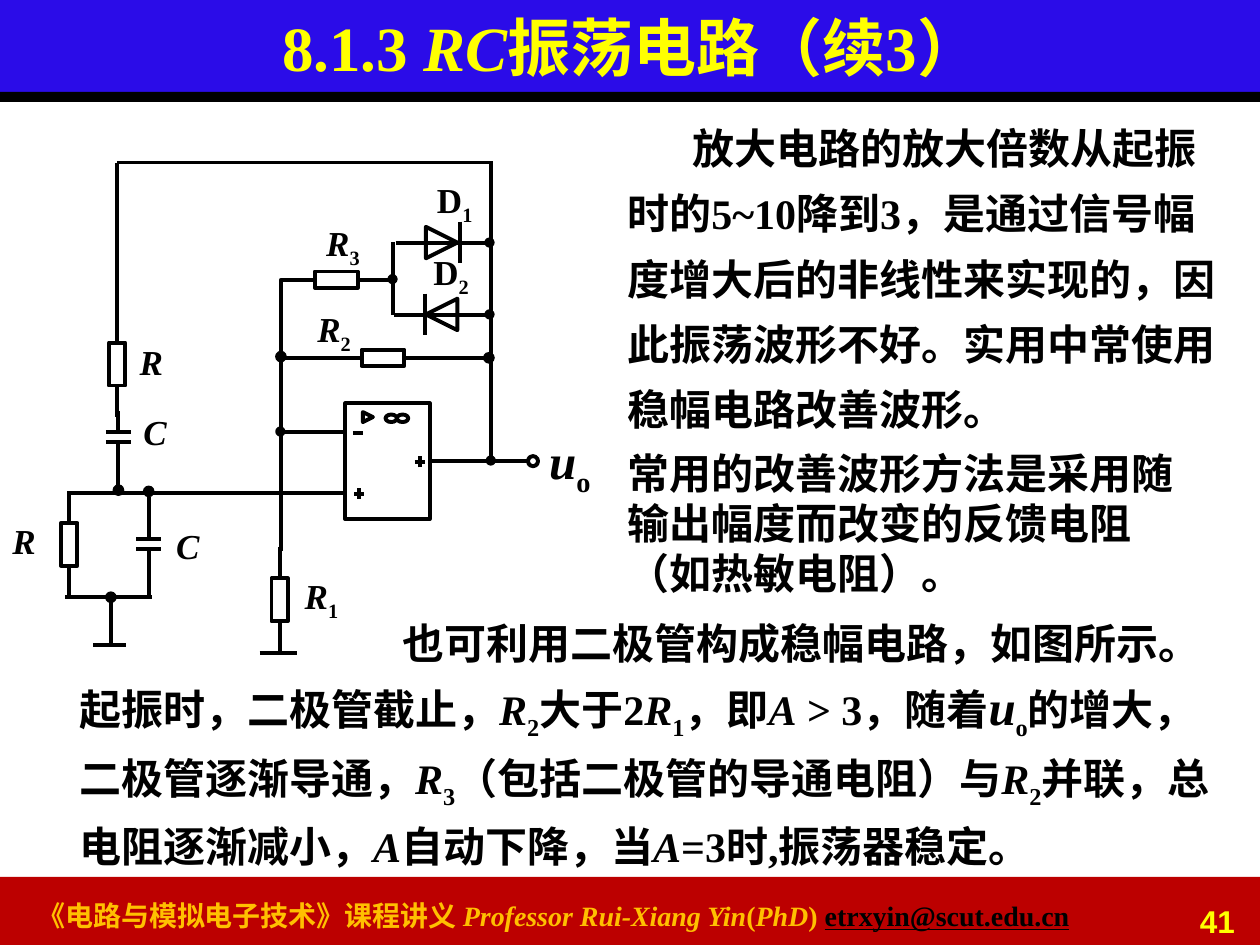
from lxml.etree import SubElement
from pptx import Presentation
from pptx.dml.color import RGBColor
from pptx.enum.shapes import MSO_CONNECTOR, MSO_SHAPE
from pptx.enum.text import MSO_ANCHOR, MSO_AUTO_SIZE, PP_ALIGN
from pptx.oxml.ns import qn
from pptx.util import Inches, Pt


class Theme:
    black, yellow, gold = "000000", "FFFF00", "FFC000"
    blue, red = "2B0CE8", "BC0000"
    serif, sans = "Times New Roman", "Arial"
    title, unknown, body, label, number, footer = 36, 28, 24, 20, 18, 16
    stroke = Pt(2.25)


class Col:
    """Vertical nets of the circuit, in inches."""
    shunt, ground, series, capacitor = 0.55, 0.88, 0.93, 1.18
    feedback, split, output = 2.23, 3.12, 3.9


class Row:
    """Horizontal nets of the circuit, in inches."""
    top, d1, r3, d2, r2 = 1.29, 1.93, 2.22, 2.5, 2.84
    minus, out, plus, bottom, ground = 3.43, 3.66, 3.91, 4.74, 5.12


# Runs are split by "|": * italic, & large italic, _ subscript, # e-mail address
TITLE = "8.1.3 |*RC|振荡电路（续3）"
FOOTER = "《电路与模拟电子技术》课程讲义 |*Professor Rui-Xiang Yin|(|*PhD|) |#etrxyin@scut.edu.cn"
# left, top, width, height, line spacing, first-line indent, text
PARAGRAPHS = [
    (4.88, 0.8, 5.01, 2.7, 1.3, 0.52,
     "放大电路的放大倍数从起振时的5~10降到3，是通过信号幅度增大后的非线性来实现的，"
     "因此振荡波形不好。实用中常使用稳幅电路改善波形。"),
    (0.53, 5.22, 9.2, 1.62, 1.2, 0,
     "起振时，二极管截止，|*R|_2|大于2|*R|_1|，即|*A| > 3，随着|&u|_o|的增大，二极管逐渐导通，"
     "|*R|_3|（包括二极管的导通电阻）与|*R|_2|并联，总电阻逐渐减小，|*A|自动下降，当|*A|=3时,振荡器稳定。"),
    (4.88, 3.5, 4.84, 1.3, 1, 0, "常用的改善波形方法是采用随输出幅度而改变的反馈电阻（如热敏电阻）。"),
    (3.1, 4.85, 6.6, 0.5, 1, 0, "也可利用二极管构成稳幅电路，如图所示。"),
]
LABELS = [  # left, top, width, text
    (1.01, 2.65, 0.47, "*R"), (1.04, 3.21, 0.47, "*C"), (0, 4.07, 0.47, "*R"),
    (1.3, 4.11, 0.47, "*C"), (2.32, 4.51, 0.72, "*R|_1"), (2.42, 2.39, 0.53, "*R|_2"),
    (3.37, 1.37, 0.5, "D|_1"), (2.49, 1.71, 0.72, "*R|_3"), (3.34, 1.94, 0.52, "D|_2"),
]
RESISTORS = [  # centre x, centre y, upright
    (Col.series, 2.89, True), (Col.shunt, 4.32, True), (2.22, 4.76, True),
    (3.04, Row.r2, False), (2.67, Row.r3, False),
]
CAPACITORS = [(0.94, 3.47), (Col.capacitor, 4.32)]
DIODES = [(Row.d1, 90, 3.65), (Row.d2, 270, 3.37)]  # centre y, rotation, bar x
DOTS = [(Col.output, Row.out), (Col.feedback, Row.minus), (Col.split, Row.r3),
        (3.89, Row.d1), (3.89, Row.d2)]
WIRES = [
    (Col.series, Row.top, 3.91, Row.top), (Col.series, Row.top, Col.series, 2.65),
    (Col.output, Row.top, Col.output, 3.63), (Col.feedback, Row.minus, 2.75, Row.minus),
    (Col.shunt, Row.plus, 2.75, Row.plus), (0.52, Row.bottom, 1.21, Row.bottom),
    (Col.capacitor, 4.47, Col.capacitor, 4.75), (0.74, Row.ground, 1, Row.ground),
    (2.06, 5.18, 2.36, 5.18), (Col.split, 1.92, Col.split, Row.d2),
    (3.14, Row.d1, 3.89, Row.d1), (3.88, Row.d2, 3.13, Row.d2),
]
JOINED_WIRES = [  # end in a round junction
    (0.94, 3.64, 0.94, 3.89), (Col.capacitor, 4.18, Col.capacitor, 3.9),
    (Col.ground, Row.ground, Col.ground, Row.bottom), (3.22, Row.r2, 3.88, Row.r2),
]
AMPLIFIER = (2.74, 3.2, 0.67, 0.92)
SIGNS = [(2.84, 3.44, False), (2.85, 3.92, True), (3.33, 3.67, True)]  # x, y, plus


def inches(*values):
    return [Inches(value) for value in values]


def colour(value):
    return RGBColor.from_string(value)


def style_line(shape, joined=False):
    shape.line.color.rgb = colour(Theme.black)
    shape.line.width = Theme.stroke
    if joined:
        SubElement(shape.line._get_or_add_ln(), qn("a:tailEnd"), type="oval")


def add_wire(x1, y1, x2, y2, joined=False):
    wire = page.shapes.add_connector(MSO_CONNECTOR.STRAIGHT, *inches(x1, y1, x2, y2))
    style_line(wire, joined)
    SubElement(wire._element.spPr, qn("a:effectLst"))
    return wire


def add_part(kind, left, top, width, height, fill=None, outlined=True, rotation=0):
    part = page.shapes.add_shape(kind, *inches(left, top, width, height))
    part.shadow.inherit = False
    part.rotation = rotation
    if fill:
        part.fill.solid()
        part.fill.fore_color.rgb = colour(fill)
    else:
        part.fill.background()
    if outlined:
        style_line(part)
    else:
        part.line.fill.background()
    return part


def add_path(*points):
    """Open outline ending in a round junction where one is wanted by the caller."""
    start, *others = [inches(*point) for point in points]
    builder = page.shapes.build_freeform(*start)
    builder.add_line_segments(others, close=False)
    path = builder.convert_to_shape()
    path.shadow.inherit = False
    path.fill.background()
    return path


def write(para, markup, size, ink=Theme.black, face=Theme.serif):
    for piece in markup.split("|"):
        mark = piece[0] if piece[0] in "*&_#" else ""
        span = para.add_run()
        span.text = piece[len(mark):]
        font = span.font
        font.name, font.bold = face, True
        font.size = Pt(Theme.unknown if mark == "&" else size)
        font.italic = mark in ("*", "&")
        font.underline = mark == "#"
        font.color.rgb = colour(Theme.black if mark == "#" else ink)
        if mark == "_":
            font._element.set("baseline", "-25000")


def add_text(left, top, width, height, markup, size, ink=Theme.black, face=Theme.serif):
    box = page.shapes.add_textbox(*inches(left, top, width, height))
    box.text_frame.word_wrap = True
    box.text_frame.auto_size = MSO_AUTO_SIZE.SHAPE_TO_FIT_TEXT
    para = box.text_frame.paragraphs[0]
    write(para, markup, size, ink, face)
    return para


def add_resistor(x, y, upright):
    width, height = (0.13, 0.34) if upright else (0.34, 0.13)
    body = add_part(MSO_SHAPE.RECTANGLE, x - width / 2, y - height / 2, width, height)
    for direction, side in zip((-1, 1), (0, 2) if upright else (1, 3)):
        reach = direction * (0.17 + 0.25)
        end = (x, y + reach) if upright else (x + reach, y)
        add_wire(x, y, *end).begin_connect(body, side)


def add_capacitor(x, y):
    for direction in (-1, 1):
        plate = y + direction * 0.04
        add_wire(x - 0.1, plate, x + 0.1, plate)
        add_wire(x, plate, x, y + direction * 0.21)


def add_amplifier():
    body = add_part(MSO_SHAPE.RECTANGLE, *AMPLIFIER)
    for x, y, plus in SIGNS:
        add_wire(x - 0.04, y, x + 0.04, y)
        if plus:
            add_wire(x, y + 0.04, x, y - 0.05)
    add_part(MSO_SHAPE.ISOSCELES_TRIANGLE, 2.88, 3.27, 0.08, 0.08, rotation=90)
    for left in (3.06, 3.15):
        add_part(MSO_SHAPE.OVAL, left, 3.29, 0.09, 0.06)
    add_wire(3.41, Row.out, 4.19, Row.out).begin_connect(body, 3)
    add_part(MSO_SHAPE.OVAL, 4.19, Row.out - 0.04, 0.08, 0.08)


def add_circuit():
    add_amplifier()
    for wire in WIRES:
        add_wire(*wire)
    for wire in JOINED_WIRES:
        add_wire(*wire, joined=True)
    for resistor in RESISTORS:
        add_resistor(*resistor)
    for capacitor in CAPACITORS:
        add_capacitor(*capacitor)
    for y, rotation, bar in DIODES:
        add_part(MSO_SHAPE.ISOSCELES_TRIANGLE, 3.38, y - 0.13, 0.25, 0.25, rotation=rotation)
        add_wire(bar, y - 0.17, bar, y + 0.16)
    for x, y in DOTS:
        add_part(MSO_SHAPE.OVAL, x - 0.03, y - 0.03, 0.05, 0.05, Theme.black)
    style_line(add_path((Col.feedback, 4.37), (Col.feedback, Row.r2), (2.78, Row.r2)))
    style_line(add_path((2.46, Row.r3), (Col.feedback, Row.r3), (Col.feedback, 2.83)), joined=True)
    for left, top, width, markup in LABELS:
        add_text(left, top, width, 0.43, markup, Theme.label)
    add_text(4.26, 3.37, 0.7, 0.57, "&u|_o", Theme.unknown)


def add_frame():
    add_part(MSO_SHAPE.RECTANGLE, -0.02, 6.96, 10.04, 0.56, Theme.red, outlined=False)
    add_part(MSO_SHAPE.RECTANGLE, -0.02, 0, 10.04, 0.76, Theme.blue, outlined=False)
    add_part(MSO_SHAPE.RECTANGLE, -0.01, 0.73, 10.02, 0.08, Theme.black, outlined=False)
    add_text(0.2, 7.08, 8.82, 0.37, FOOTER, Theme.footer, Theme.gold)
    number = add_text(8.96, 7.11, 0.94, 0.31, "41", Theme.number, Theme.yellow, Theme.sans)
    number.alignment = PP_ALIGN.RIGHT
    title = page.shapes.title
    title.left, title.top, title.width, title.height = inches(0, 0, 10.02, 0.73)
    title.text_frame.vertical_anchor = MSO_ANCHOR.MIDDLE
    title.text_frame.auto_size = MSO_AUTO_SIZE.NONE
    para = title.text_frame.paragraphs[0]
    para.alignment = PP_ALIGN.CENTER
    write(para, TITLE, Theme.title, Theme.yellow)
    page.shapes.element.append(title.element)  # in front of the blue band


deck = Presentation()
deck.slide_width, deck.slide_height = inches(10, 7.5)
page = deck.slides.add_slide(deck.slide_layouts[5])
add_frame()
add_circuit()
for left, top, width, height, spacing, indent, markup in PARAGRAPHS:
    para = add_text(left, top, width, height, markup, Theme.body)
    para.line_spacing = spacing
    if indent:
        para._p.get_or_add_pPr().set("indent", str(Inches(indent)))
deck.save("out.pptx")
